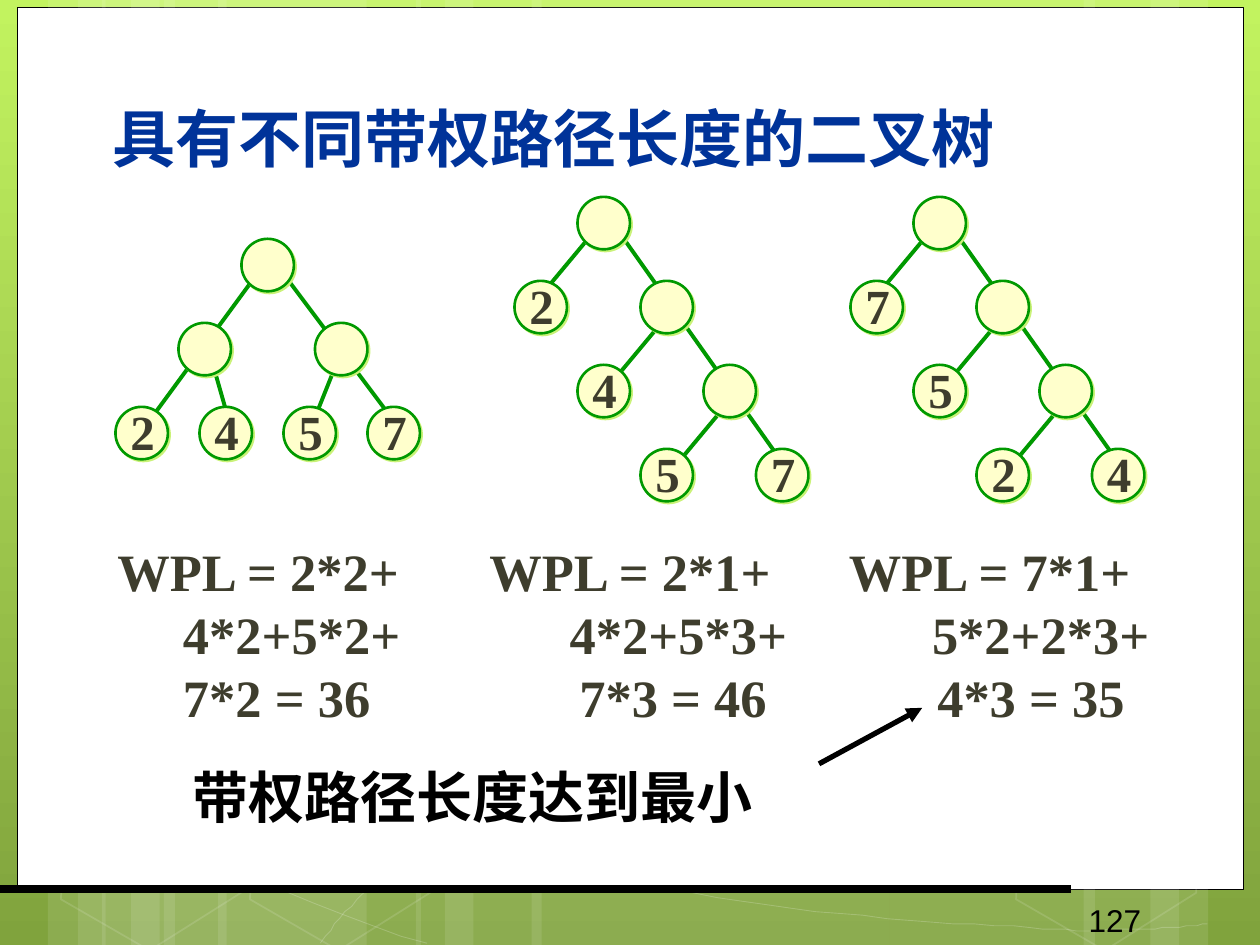
from lxml import etree
from pptx import Presentation
from pptx.dml.color import RGBColor
from pptx.enum.shapes import MSO_CONNECTOR, MSO_SHAPE
from pptx.enum.text import MSO_ANCHOR, PP_ALIGN
from pptx.oxml.ns import qn
from pptx.util import Pt

STRAIGHT = MSO_CONNECTOR.STRAIGHT
RECTANGLE, OVAL, HEXAGON = MSO_SHAPE.RECTANGLE, MSO_SHAPE.OVAL, MSO_SHAPE.HEXAGON
MIDDLE, CENTER, LEFT = MSO_ANCHOR.MIDDLE, PP_ALIGN.CENTER, PP_ALIGN.LEFT
WHITE = RGBColor(0xFF, 0xFF, 0xFF)
BLACK = RGBColor(0, 0, 0)
LIME = RGBColor(0xC2, 0xF3, 0x5F)
OLIVE = RGBColor(0x80, 0xA3, 0x3D)
NAVY = RGBColor(0x00, 0x33, 0x99)
INK = RGBColor(0x3E, 0x3D, 0x2D)
GREEN = RGBColor(0x00, 0x99, 0x00)
CREAM = RGBColor(0xFF, 0xFF, 0xCC)
NODE_SHADOW = RGBColor(0xCA, 0xF2, 0x78)
SERIF, SANS, CJK = "Times New Roman", "Arial", "Noto Sans CJK SC"


def set_opacity(fill, percent):
    color = fill._xPr.find(qn("a:solidFill"))[0]
    etree.SubElement(color, qn("a:alpha"), val=str(percent * 1000))


def draw_line(start, end, color, width):
    line = slide.shapes.add_connector(STRAIGHT, *[Pt(v) for v in (*start, *end)])
    line.line.color.rgb = color
    line.line.width = Pt(width)
    etree.SubElement(line._element.spPr, qn("a:effectLst"))
    return line


prs = Presentation()
prs.slide_width, prs.slide_height = Pt(720), Pt(540)
slide = prs.slides.add_slide(prs.slide_layouts[5])
shapes = slide.shapes

backdrop = slide.background.fill
backdrop.gradient()
backdrop.gradient_angle = 270
for stop, color in zip(backdrop.gradient_stops, (LIME, OLIVE)):
    stop.color.rgb = color

panel = shapes.add_shape(RECTANGLE, Pt(10), Pt(4.3), Pt(700.6), Pt(504))
panel.shadow.inherit = False
panel.fill.solid()
panel.fill.fore_color.rgb = WHITE
panel.line.color.rgb = BLACK
panel.line.width = Pt(0.5)

strips = [(93.6, 116), (27.4, 33), (44.6, 55.4), (124.6, 116), (58.3, 33), (74.9, 54.7),
          (508.3, 117.4), (657.4, 33), (619.2, 54.7), (303.8, 204.5), (237.6, 33), (254.2, 55.4)]
for left, width in strips:
    strip = shapes.add_shape(RECTANGLE, Pt(left), Pt(0), Pt(width), Pt(540))
    strip.shadow.inherit = False
    strip.fill.solid()
    strip.fill.fore_color.rgb = WHITE
    set_opacity(strip.fill, 10)
    strip.line.fill.background()

curves = [
    [(26, 444), (106, 484), (186, 523), (244, 539)],
    [(258, 485), (314, 497), (384, 509), (438, 517), (493, 525), (552, 528), (588, 530),
     (622, 533), (631, 531), (649, 531), (665, 531), (678, 529), (690, 528)],
    [(183, 539), (194, 525), (206, 510), (222, 498)],
]
for points in curves:
    samples = [points[0]]
    for i in range(0, len(points) - 1, 3):
        for t in [step / 12 for step in range(1, 13)]:
            weights = ((1 - t) ** 3, 3 * t * (1 - t) ** 2, 3 * t * t * (1 - t), t ** 3)
            samples.append(tuple(sum(w * p[axis] for w, p in zip(weights, points[i:i + 4]))
                                 for axis in (0, 1)))
    builder = shapes.build_freeform(*samples[0], scale=Pt(1))
    builder.add_line_segments(samples[1:], close=False)
    curve = builder.convert_to_shape()
    curve.shadow.inherit = False
    curve.fill.background()
    curve.line.color.rgb = WHITE
    curve.line.width = Pt(0.5)
    set_opacity(curve.line.fill, 20)

for left in (29.5, 137.5, 575.3):
    hexagon = shapes.add_shape(HEXAGON, Pt(left), Pt(426.5), Pt(116), Pt(109.4))
    hexagon.adjustments[0] = 0.263
    hexagon.rotation = 30
    hexagon.shadow.inherit = False
    hexagon.fill.background()
    hexagon.line.color.rgb = WHITE
    hexagon.line.width = Pt(1)
    set_opacity(hexagon.line.fill, 12)

draw_line((0, 508), (612, 508), BLACK, 4.5)

page_number = shapes.add_textbox(Pt(615), Pt(511.2), Pt(105), Pt(28.8)).text_frame
page_number.word_wrap = True
run = page_number.paragraphs[0].add_run()
run.text = "127"
run.font.size, run.font.name, run.font.color.rgb = Pt(18), SANS, BLACK

title = shapes.title
shapes._spTree.append(title._element)
title.left, title.top, title.width, title.height = Pt(57), Pt(53.3), Pt(600), Pt(50.4)
title.text_frame.word_wrap = True
title.text_frame.vertical_anchor = MIDDLE
heading = title.text_frame.paragraphs[0]
heading.alignment = LEFT
run = heading.add_run()
run.text = "具有不同带权路径长度的二叉树"
run.font.size, run.font.name, run.font.bold = Pt(36), SERIF, True
run.font.color.rgb = NAVY

wpl_rows = [
    ("WPL = 2*2+\tWPL = 2*1+\tWPL = 7*1+", (212.5, 418), 30, SERIF, INK, 0),
    ("\t4*2+5*2+\t4*2+5*3+\t5*2+2*3+", (37.5, 258.5, 465.5), 30, SERIF, INK, 0),
    ("\t7*2 = 36\t7*3 = 46\t4*3 = 35", (37.5, 264, 468.5), 30, SERIF, INK, 0),
    ("\t带权路径长度达到最小", (43,), 32, CJK, BLACK, 22),
]
formulas = shapes.add_textbox(Pt(60), Pt(304.5), Pt(612), Pt(175.5)).text_frame
formulas.word_wrap = True
for i, (text, tabs, size, font, color, gap) in enumerate(wpl_rows):
    row = formulas.add_paragraph() if i else formulas.paragraphs[0]
    row.line_spacing = Pt(36)
    if gap:
        row.space_before = Pt(gap)
    tab_list = etree.SubElement(row._p.get_or_add_pPr(), qn("a:tabLst"))
    for position in tabs:
        etree.SubElement(tab_list, qn("a:tab"), pos=str(Pt(position)), algn="l")
    run = row.add_run()
    run.text = text
    run.font.size, run.font.name, run.font.bold = Pt(size), font, True
    run.font.color.rgb = color

balanced_nodes = [(138, 136.5, ""), (102, 184.5, ""), (180, 184.5, ""), (66, 232.5, "2"),
                  (114, 232.5, "4"), (162, 232.5, "5"), (210, 232.5, "7")]
balanced_edges = [((156, 148.5), (228, 244.5)), ((192, 208.5), (180, 238.5)),
                  ((120, 202.5), (132, 244.5)), ((144, 160.5), (78, 250.5))]
trees = [(balanced_nodes, balanced_edges)]
for x, weights in ((330, "2457"), (522, "7524")):
    nodes = [(x + 36 * i, 112.5 + 48 * i, "") for i in range(3)]
    nodes += [(x - 36 + 36 * i, 160.5 + 48 * i, weights[i]) for i in range(3)]
    nodes.append((x + 102, 256.5, weights[3]))
    edges = [((x + dx, 136.5 + 48 * i), (x + dx - 30, 172.5 + 48 * i))
             for i, dx in enumerate((6, 48, 84))]
    edges.append(((x + 18, 124.5), (x + 120, 268.5)))
    trees.append((nodes, edges))

for nodes, edges in trees:
    for start, end in edges:
        draw_line(start, end, GREEN, 2.25)
    for left, top, weight in nodes:
        node = shapes.add_shape(OVAL, Pt(left), Pt(top), Pt(30), Pt(30))
        node.fill.solid()
        node.fill.fore_color.rgb = CREAM
        node.line.color.rgb = GREEN
        node.line.width = Pt(1.5)
        node.shadow.inherit = False
        effects = node._element.spPr.find(qn("a:effectLst"))
        shadow = etree.SubElement(effects, qn("a:outerShdw"), blurRad="0",
                                  dist=str(Pt(1.4)), dir="2700000", algn="ctr", rotWithShape="0")
        etree.SubElement(shadow, qn("a:srgbClr"), val=str(NODE_SHADOW))
        if weight:
            label = shapes.add_textbox(Pt(left + 1.5), Pt(top - 6.5), Pt(28), Pt(41)).text_frame
            label.word_wrap = False
            label.vertical_anchor = MIDDLE
            label.paragraphs[0].alignment = CENTER
            run = label.paragraphs[0].add_run()
            run.text = weight
            run.font.size, run.font.name, run.font.bold = Pt(28), SERIF, True
            run.font.color.rgb = INK

pointer = draw_line((468, 436.5), (527, 404.5), BLACK, 3)
etree.SubElement(pointer.line._get_or_add_ln(), qn("a:tailEnd"), type="triangle")

prs.save("out.pptx")
